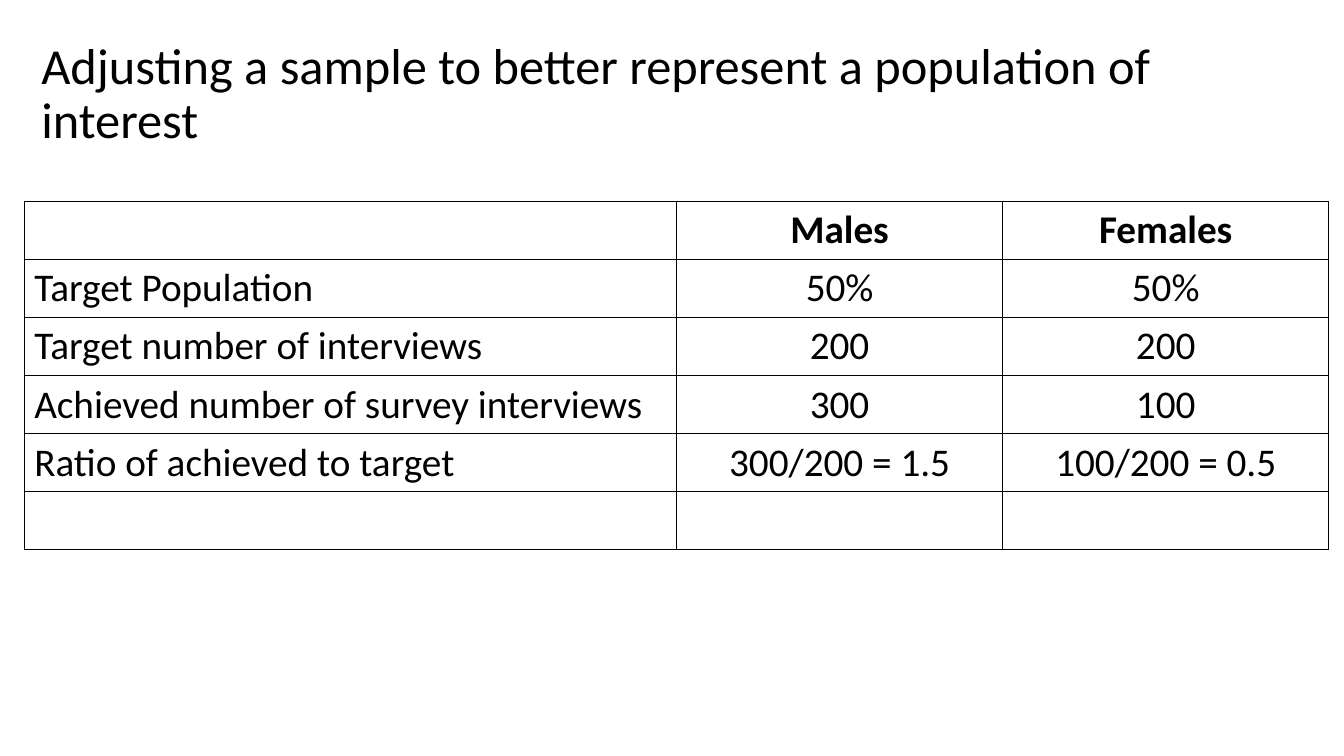
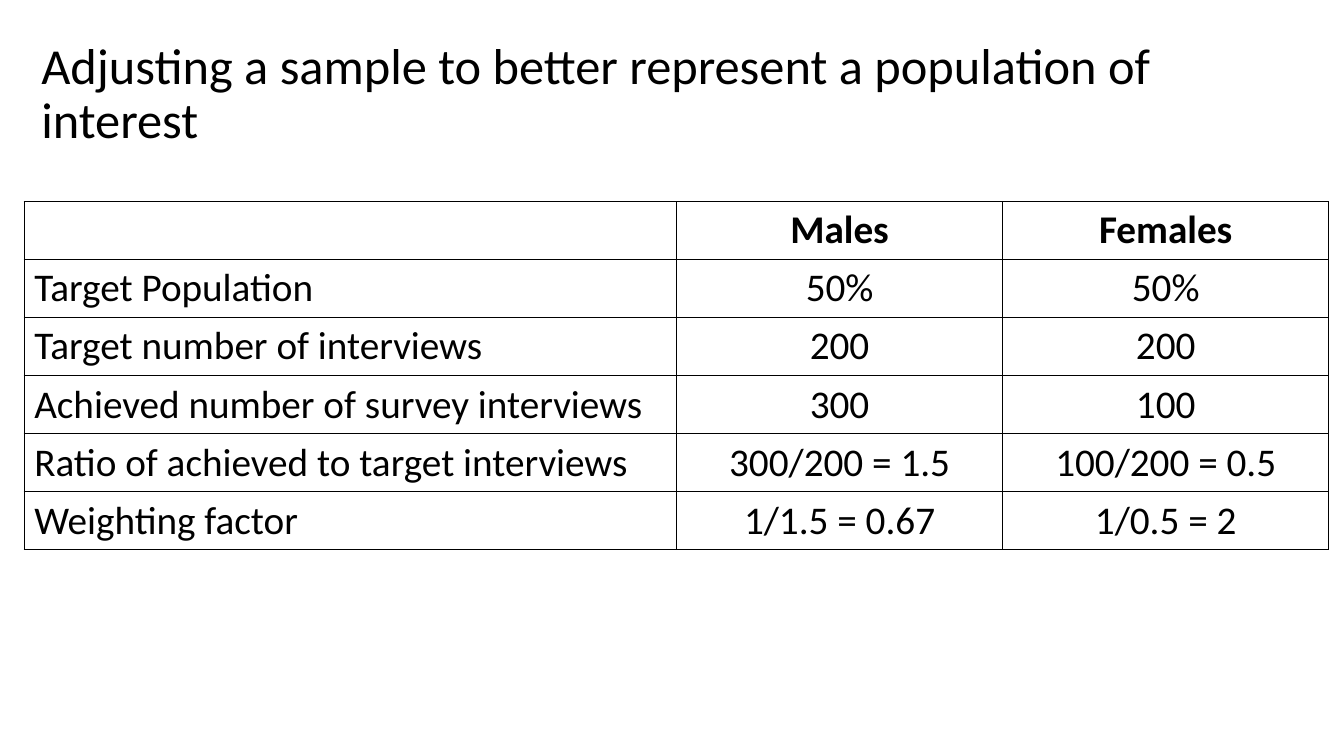
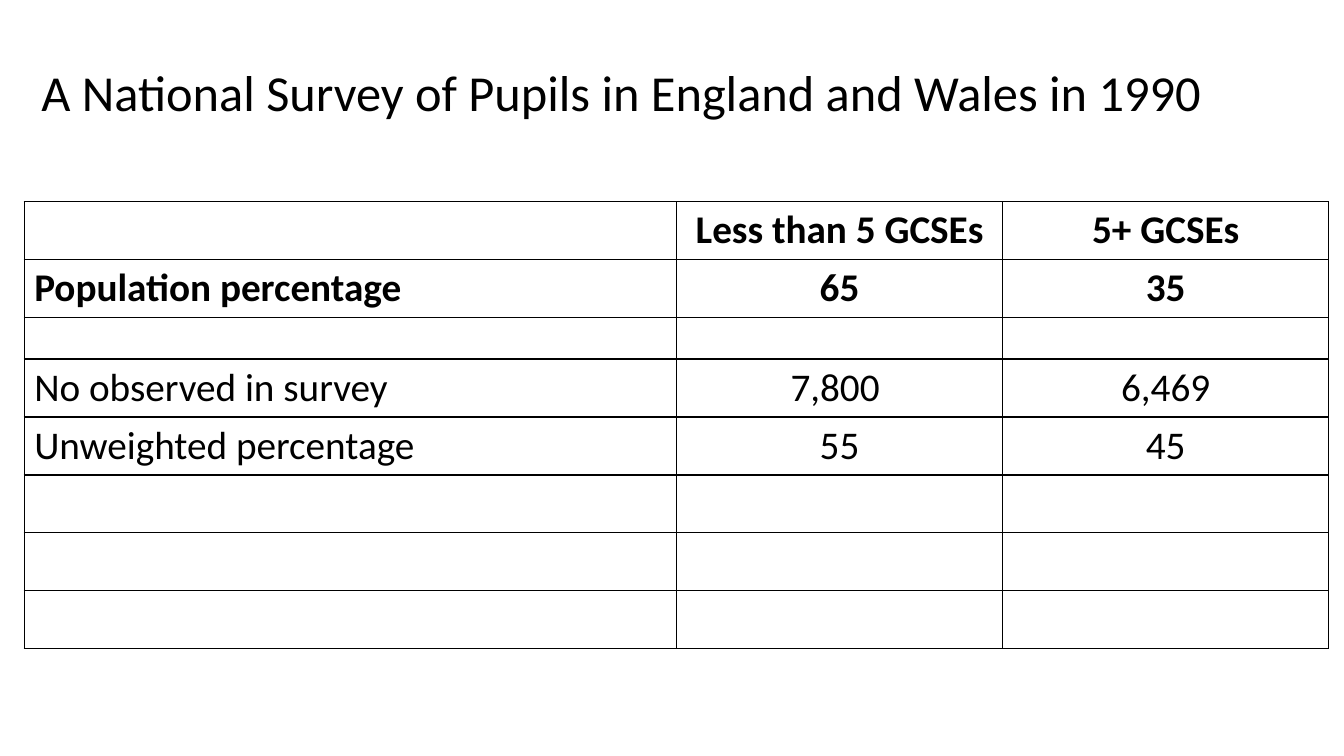
"""Build three slides on weighting survey samples, each a title above a ruled table."""
import pptx
import pptx.dml.color
import pptx.enum.text
import pptx.oxml
import pptx.oxml.ns
import pptx.util

COLORS = {"ink": "000000", "paper": "FFFFFF"}
FONT = "Calibri"
TITLE_SIZE, CELL_SIZE = 36, 28
SLIDE_SIZE = (13.33, 7.5)
TITLE_BOX = (0.31, 0.22, 12.86, 1.45)
TABLE_LEFT, TABLE_TOP, TABLE_WIDTH = 0.24, 2, 12.94
COLUMN_SHARES = (0.5, 0.25, 0.25)
ROW_HEIGHT, SPACER_HEIGHT = 41.4, 29.5
BORDER_TAGS = ("a:lnL", "a:lnR", "a:lnT", "a:lnB")
BLANK = ("", "", "")

SAMPLE_TITLE = "Adjusting a sample to better represent a population of interest"
SAMPLE_ROWS = [
    ("", "Males", "Females"),
    ("Target Population", "50%", "50%"),
    ("Target number of interviews", "200", "200"),
    ("Achieved number of survey interviews", "300", "100"),
]
RATIOS = ("300/200 = 1.5", "100/200 = 0.5")
PUPIL_TITLE = "A National Survey of Pupils in England and Wales in 1990"
PUPIL_ROWS = [
    ("", "Less than 5 GCSEs", "5+ GCSEs"),
    ("Population percentage", "65", "35"),
    BLANK,
    ("No observed in survey", "7,800 ", "6,469"),
    ("Unweighted percentage", "55", "45"),
    BLANK,
    BLANK,
    BLANK,
]


def color(name):
    """Return a named colour."""
    return pptx.dml.color.RGBColor.from_string(COLORS[name])


def style_paragraph(para, size, bold=False, centred=False):
    """Set the font and alignment of a paragraph."""
    align = pptx.enum.text.PP_ALIGN
    para.alignment = align.CENTER if centred else align.LEFT
    para.font.name = FONT
    para.font.size = pptx.util.Pt(size)
    para.font.bold = bold
    para.font.color.rgb = color("ink")


def set_title(page, text):
    """Place and format the title placeholder."""
    title = page.shapes.title
    title.left, title.top, title.width, title.height = map(pptx.util.Inches, TITLE_BOX)
    frame = title.text_frame
    frame.text = text
    frame.word_wrap = True
    frame.auto_size = pptx.enum.text.MSO_AUTO_SIZE.NONE
    frame.vertical_anchor = pptx.enum.text.MSO_ANCHOR.MIDDLE
    para = frame.paragraphs[0]
    para.line_spacing = 0.9
    style_paragraph(para, TITLE_SIZE)


def rule_cell(cell):
    """Draw a one-point border on every side of a cell."""
    properties = cell._tc.get_or_add_tcPr()
    for position, tag in enumerate(BORDER_TAGS):
        border = pptx.oxml.parse_xml(
            f'<{tag} {pptx.oxml.ns.nsdecls("a")} w="{pptx.util.Pt(1)}"><a:solidFill>'
            f'<a:srgbClr val="{COLORS["ink"]}"/></a:solidFill></{tag}>'
        )
        properties.insert(position, border)


def fill_cell(cell, text, bold, centred):
    """Write and format one table cell."""
    cell.fill.solid()
    cell.fill.fore_color.rgb = color("paper")
    rule_cell(cell)
    cell.text = text
    style_paragraph(cell.text_frame.paragraphs[0], CELL_SIZE if text else 18, bold, centred)


def add_ruled_table(page, rows, bold_rows, spacer_rows):
    """Add a table with a wide label column and two value columns."""
    heights = [
        pptx.util.Pt(SPACER_HEIGHT if index in spacer_rows else ROW_HEIGHT)
        for index in range(len(rows))
    ]
    left, top, width = map(pptx.util.Inches, (TABLE_LEFT, TABLE_TOP, TABLE_WIDTH))
    table = page.shapes.add_table(
        len(rows), len(COLUMN_SHARES), left, top, width, sum(heights)
    ).table
    table.first_row = table.horz_banding = False
    for column, share in zip(table.columns, COLUMN_SHARES):
        column.width = pptx.util.Inches(TABLE_WIDTH * share)
    for row_index, (texts, height) in enumerate(zip(rows, heights)):
        table.rows[row_index].height = height
        for column_index, text in enumerate(texts):
            cell = table.cell(row_index, column_index)
            fill_cell(cell, text, row_index < bold_rows, column_index > 0)


def add_page(deck, title, rows, bold_rows=1, spacer_rows=()):
    """Add a slide with a title and a table."""
    page = deck.slides.add_slide(deck.slide_layouts.get_by_name("Title Only"))
    set_title(page, title)
    add_ruled_table(page, rows, bold_rows, spacer_rows)


def main():
    """Build and save the deck."""
    deck = pptx.Presentation()
    deck.slide_width, deck.slide_height = map(pptx.util.Inches, SLIDE_SIZE)
    ratio_row = ("Ratio of achieved to target", *RATIOS)
    weighting_rows = [
        ("Ratio of achieved to target interviews", *RATIOS),
        ("Weighting factor", "1/1.5 = 0.67", "1/0.5 = 2"),
    ]
    add_page(deck, SAMPLE_TITLE, SAMPLE_ROWS + [ratio_row, BLANK])
    add_page(deck, SAMPLE_TITLE, SAMPLE_ROWS + weighting_rows)
    add_page(deck, PUPIL_TITLE, PUPIL_ROWS, bold_rows=2, spacer_rows=(2,))
    deck.save("out.pptx")


if __name__ == "__main__":
    main()
